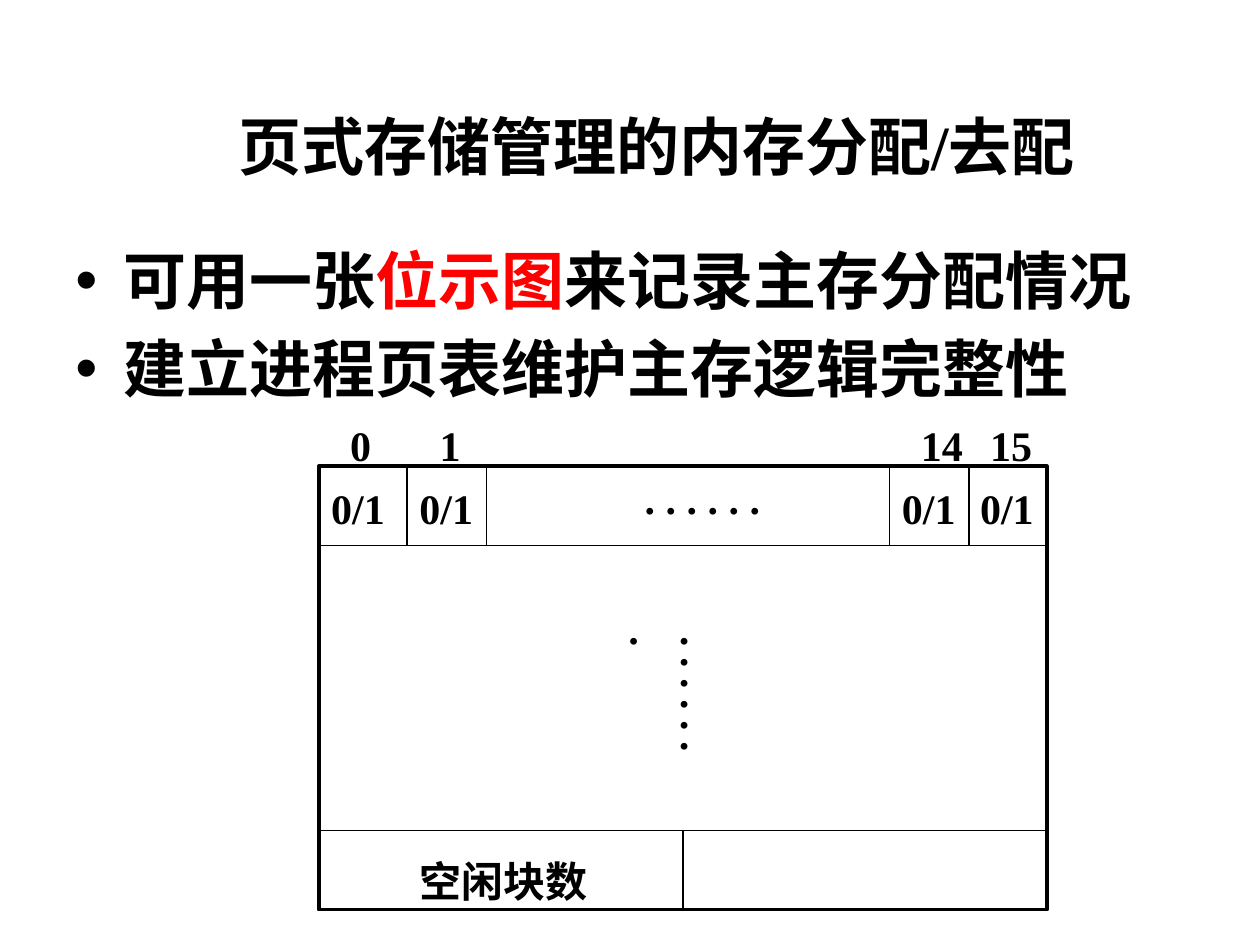
from pptx import Presentation
from pptx.dml.color import RGBColor
from pptx.enum.shapes import MSO_CONNECTOR, MSO_SHAPE
from pptx.enum.text import MSO_ANCHOR, MSO_AUTO_SIZE, PP_ALIGN
from pptx.oxml.ns import qn
from pptx.util import Inches, Pt
from lxml.etree import SubElement

BLACK, RED, WHITE = "000000", "FF0000", "FFFFFF"
LEFT, TOP, RIGHT, BOTTOM = 2.53, 3.7, 8.31, 7.22
BITS_BOTTOM, COUNT_TOP = 4.33, 6.59


def rgb(color):
    return RGBColor.from_string(color)


def add_text(left, top, width, height, lines, size=24):
    """Add a text box; each line is a list of (text, color) spans."""
    box = slide.shapes.add_textbox(
        Inches(left), Inches(top), Inches(width), Inches(height))
    frame = box.text_frame
    frame.word_wrap = True
    for index, spans in enumerate(lines):
        para = frame.add_paragraph() if index else frame.paragraphs[0]
        for text, color in spans:
            span = para.add_run()
            span.text = text
            font = span.font
            font.name, font.size, font.bold = "Times New Roman", Pt(size), True
            font.color.rgb = rgb(color)
    return frame


deck = Presentation()
deck.slide_width, deck.slide_height = Inches(10), Inches(7.5)
slide = deck.slides.add_slide(deck.slide_layouts[6])

title = add_text(0.46, 0.53, 9.5, 1.25, [[("页式存储管理的内存分配/去配", BLACK)]], 36)
title.vertical_anchor = MSO_ANCHOR.MIDDLE
title.paragraphs[0].alignment = PP_ALIGN.CENTER

body = add_text(0.5, 1.87, 9.19, 5.04, [
    [("可用一张", BLACK), ("位示图", RED), ("来记录主存分配情况", BLACK)],
    [("建立进程页表维护主存逻辑完整性", BLACK)],
], 36)
body.paragraphs[1].space_before = Pt(7.2)
for para in body.paragraphs:
    properties = para._p.get_or_add_pPr()
    properties.set("marL", str(Inches(0.38)))
    properties.set("indent", str(-Inches(0.38)))
    SubElement(properties, qn("a:buFont"), typeface="Arial")
    SubElement(properties, qn("a:buChar"), char="•")

# Bitmap frame and its dividers
bitmap = slide.shapes.add_shape(
    MSO_SHAPE.RECTANGLE, Inches(LEFT), Inches(TOP),
    Inches(RIGHT - LEFT), Inches(BOTTOM - TOP))
bitmap.shadow.inherit = False
bitmap.fill.solid()
bitmap.fill.fore_color.rgb = rgb(WHITE)
bitmap.line.color.rgb = rgb(BLACK)
bitmap.line.width = Pt(2)

rows = [(LEFT, y, RIGHT, y) for y in (BITS_BOTTOM, COUNT_TOP)]
columns = [(x, TOP, x, BITS_BOTTOM) for x in (3.23, 3.86, 7.06, 7.69)]
count_divider = (5.42, COUNT_TOP, 5.42, BOTTOM)
for ends in rows + columns + [count_divider]:
    divider = slide.shapes.add_connector(
        MSO_CONNECTOR.STRAIGHT, *[Inches(value) for value in ends])
    divider.line.color.rgb = rgb(BLACK)
    divider.line.width = Pt(0.75)
    SubElement(divider._element.spPr, qn("a:effectLst"))

# Bit cells and the bit numbers above them
for number, number_left, cell_left in (
        ("0", 2.68, 2.53), ("1", 3.39, 3.23), ("14", 7.21, 7.06), ("15", 7.76, 7.68)):
    add_text(cell_left, 3.78, 0.78, 0.5, [[("0/1", BLACK)]])
    add_text(number_left, 3.28, 0.63, 0.5, [[(number, BLACK)]])

add_text(3.23, 6.74, 1.8, 0.5, [[("空闲块数", BLACK)]])

more_bits = add_text(4.87, 3.7, 1.41, 0.5, [[(". . . . . .", BLACK)]])
more_bits.paragraphs[0].alignment = PP_ALIGN.CENTER

more_rows = add_text(5.18, 4.95, 0.61, 1.25, [[(". . . . . . .", BLACK)]])
more_rows.auto_size = MSO_AUTO_SIZE.SHAPE_TO_FIT_TEXT
more_rows._txBody.bodyPr.set("vert", "eaVert")

deck.save("out.pptx")
